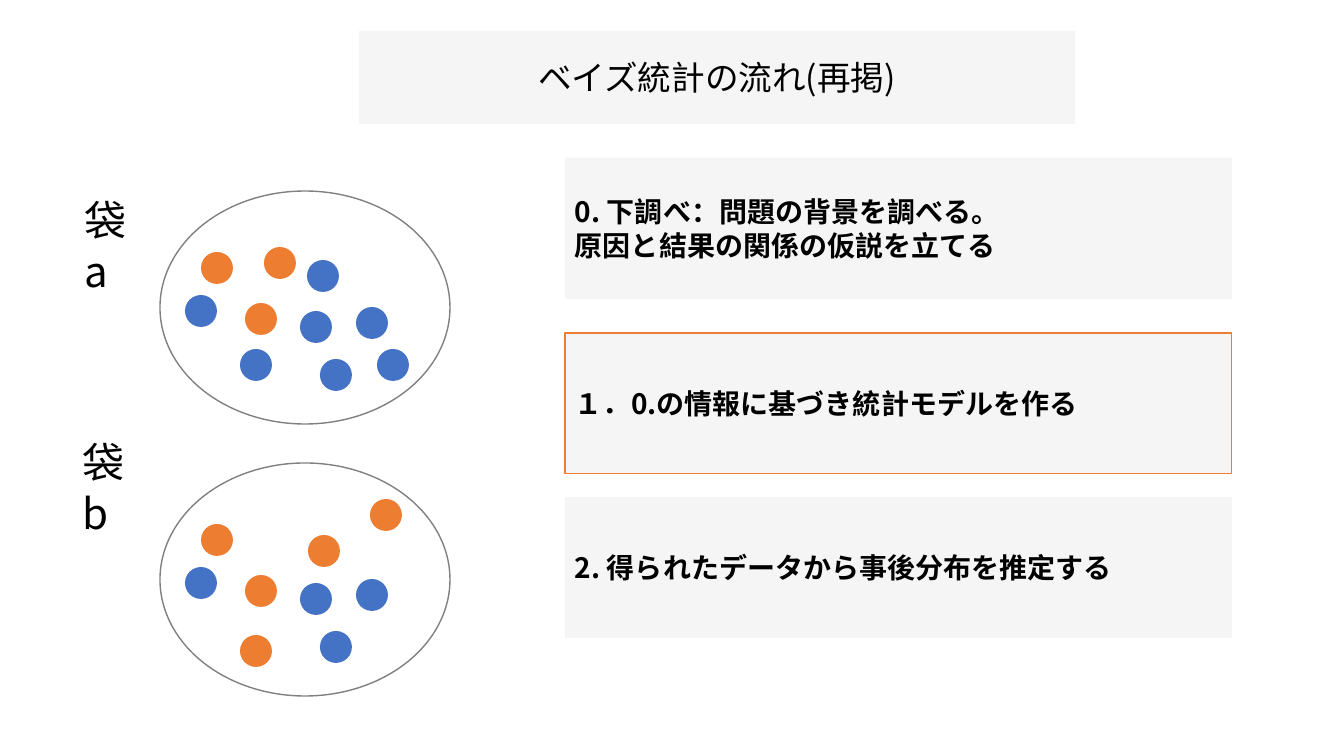
from lxml import etree
from pptx import Presentation
from pptx.dml.color import RGBColor
from pptx.enum.shapes import MSO_SHAPE
from pptx.enum.text import MSO_ANCHOR, MSO_AUTO_SIZE, PP_ALIGN
from pptx.oxml.ns import qn
from pptx.util import Emu, Pt

RECTANGLE, OVAL = MSO_SHAPE.RECTANGLE, MSO_SHAPE.OVAL
TOP, MIDDLE = MSO_ANCHOR.TOP, MSO_ANCHOR.MIDDLE
LEFT, CENTER = PP_ALIGN.LEFT, PP_ALIGN.CENTER
NO_AUTOFIT = MSO_AUTO_SIZE.NONE
TITLE_ONLY = 5

BLACK = RGBColor(0x00, 0x00, 0x00)
PANEL = RGBColor(0xED, 0xED, 0xED)
OUTLINE = RGBColor(0x80, 0x80, 0x80)
ORANGE = RGBColor(0xED, 0x7D, 0x31)
BLUE = RGBColor(0x44, 0x72, 0xC4)

FONT = "Noto Sans CJK JP"
PIXELS_PER_INCH = 100.8
BALL_SIZE = 32

SHARED_BALLS = {ORANGE: [(41, 61), (85, 112)],
                BLUE: [(25, 104), (160, 168), (140, 120), (196, 116)]}
BAGS = [
    {"name": "袋a", "box": (160, 191, 290, 233), "label_offset": (-85, -1),
     "balls": {ORANGE: [(104, 56)], BLUE: [(217, 158), (80, 158), (147, 69)]}},
    {"name": "袋b", "box": (160, 463, 290, 233), "label_offset": (-87, -31),
     "balls": {ORANGE: [(210, 36), (148, 72), (80, 172)], BLUE: []}},
]
STEPS = [
    (158, ["0. 下調べ：問題の背景を調べる。", "原因と結果の関係の仮説を立てる"], None),
    (333, ["１．0.の情報に基づき統計モデルを作る"], ORANGE),
    (497, ["2. 得られたデータから事後分布を推定する"], None),
]


def pixels(*lengths):
    """Turn pixel lengths into EMU."""
    return [Emu(round(length * 914400 / PIXELS_PER_INCH)) for length in lengths]


def write_text(shape, lines, size, bold=False, align=LEFT, anchor=MIDDLE):
    """Write one paragraph per line in the slide's font."""
    frame = shape.text_frame
    frame.text = "\n".join(lines)
    frame_format = {"word_wrap": True, "auto_size": NO_AUTOFIT, "vertical_anchor": anchor}
    for name, value in frame_format.items():
        setattr(frame, name, value)
    for paragraph in frame.paragraphs:
        paragraph.alignment = align
        font = paragraph.runs[0].font
        for name, value in {"name": FONT, "size": Pt(size), "bold": bold}.items():
            setattr(font, name, value)
        font.color.rgb = BLACK
        latin = font._element.find(qn("a:latin"))
        east_asian = etree.Element(qn("a:ea"), typeface=FONT)
        latin.addnext(east_asian)


def fill_panel(shape):
    """Give a shape the half-transparent panel fill."""
    shape.fill.solid()
    shape.fill.fore_color.rgb = PANEL
    color = shape._element.spPr.find(qn("a:solidFill")).find(qn("a:srgbClr"))
    etree.SubElement(color, qn("a:alpha"), val="50000")


def add_shape(slide, kind, box, fill=None, line=None, line_width=1):
    """Add a flat preset shape."""
    shape = slide.shapes.add_shape(kind, *pixels(*box))
    shape.shadow.inherit = False
    if fill is None:
        shape.fill.background()
    else:
        shape.fill.solid()
        shape.fill.fore_color.rgb = fill
    if line is None:
        shape.line.fill.background()
    else:
        shape.line.color.rgb = line
        shape.line.width = Pt(line_width)
    return shape


def place_title(slide, box, text):
    """Turn the title placeholder into a centred panel."""
    title = slide.shapes.title
    title.left, title.top, title.width, title.height = pixels(*box)
    fill_panel(title)
    write_text(title, [text], 24, align=CENTER)


def add_bag(slide, box, name, label_offset, balls):
    """Draw a bag with its balls and its name beside it."""
    left, top = box[:2]
    add_shape(slide, OVAL, box, line=OUTLINE)
    for color, shared in SHARED_BALLS.items():
        for across, down in shared + balls[color]:
            ball_box = (left + across, top + down, BALL_SIZE, BALL_SIZE)
            add_shape(slide, OVAL, ball_box, color)
    across, down = label_offset
    label = slide.shapes.add_textbox(*pixels(left + across, top + down, 80, 62))
    write_text(label, [name], 30, anchor=TOP)


def add_step(slide, box, lines, outline):
    """Draw one step of the workflow as a text panel."""
    panel = add_shape(slide, RECTANGLE, box, line=outline, line_width=0.75)
    fill_panel(panel)
    write_text(panel, lines, 20, bold=True)


def build():
    """Build and save the presentation."""
    presentation = Presentation()
    presentation.slide_width, presentation.slide_height = pixels(1344, 756)
    slide = presentation.slides.add_slide(presentation.slide_layouts[TITLE_ONLY])
    place_title(slide, (359, 31, 716, 93), "ベイズ統計の流れ(再掲)")
    for bag in BAGS:
        add_bag(slide, **bag)
    for top, lines, outline in STEPS:
        add_step(slide, (565, top, 667, 141), lines, outline)
    presentation.save("out.pptx")


build()
